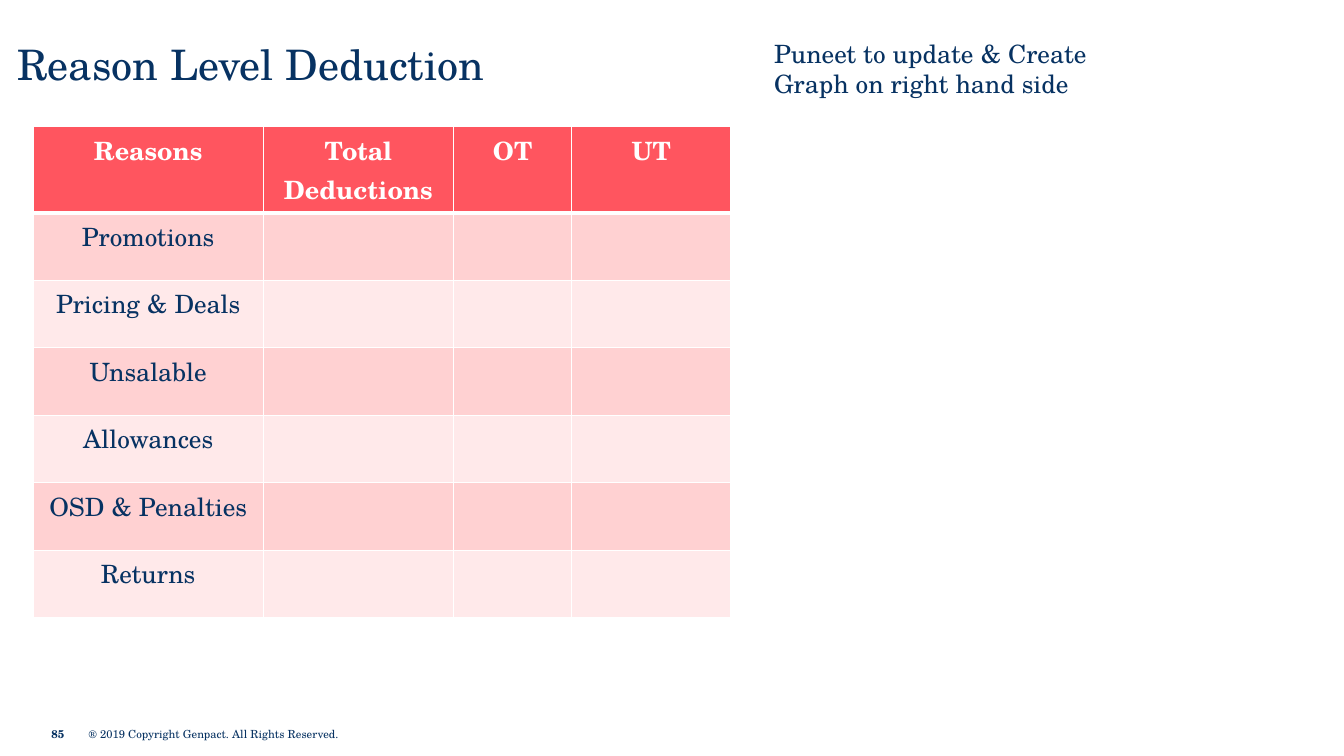
from lxml.etree import SubElement
from pptx import Presentation
from pptx.dml.color import RGBColor as RGB
from pptx.enum.text import MSO_ANCHOR as ANCHOR, PP_ALIGN as ALIGN
from pptx.oxml.ns import qn
from pptx.util import Inches, Pt

FONT = "TeX Gyre Schola"
COLORS = {"navy": "073262", "white": "FFFFFF", "header": "FF555F",
          "band_dark": "FFD1D2", "band_light": "FFE9EA"}
HEADERS = ["Reasons", "Total Deductions", "OT", "UT"]
REASONS = ["Promotions", "Pricing & Deals", "Unsalable",
           "Allowances", "OSD & Penalties", "Returns"]
COL_WIDTHS = [2.28, 1.89, 1.17, 1.58]
HEADER_HEIGHT, ROW_HEIGHT = 0.86, 0.67


def color(name):
    return RGB.from_string(COLORS[name])


def write(tf, text, size=18, fill="navy", bold=False, align=ALIGN.LEFT):
    p = tf.paragraphs[0]
    p.alignment = align
    r = p.add_run()
    r.text = text
    r.font.name, r.font.size, r.font.bold = FONT, Pt(size), bold
    r.font.color.rgb = color(fill)


def add_text(slide, text, left, top, width, height,
             insets=(0.1, 0.05), anchor=ANCHOR.TOP, **fmt):
    s = slide.shapes.add_textbox(*map(Inches, (left, top, width, height)))
    tf = s.text_frame
    tf.word_wrap = True
    tf.vertical_anchor = anchor
    tf.margin_left = tf.margin_right = Inches(insets[0])
    tf.margin_top = tf.margin_bottom = Inches(insets[1])
    write(tf, text, **fmt)


def set_borders(cell, top, bottom):
    tcPr = cell._tc.get_or_add_tcPr()
    widths = {"a:lnL": 1, "a:lnR": 1, "a:lnT": top, "a:lnB": bottom}
    for i, (tag, width) in enumerate(widths.items()):
        ln = SubElement(tcPr, qn(tag), w=str(Pt(width)))
        fill = SubElement(ln, qn("a:solidFill"))
        SubElement(fill, qn("a:srgbClr"), val=COLORS["white"])
        tcPr.insert(i, ln)  # borders precede the cell fill


def add_reason_table(slide, left, top):
    height = HEADER_HEIGHT + ROW_HEIGHT * len(REASONS)
    table = slide.shapes.add_table(
        len(REASONS) + 1, len(HEADERS), Inches(left), Inches(top),
        Inches(sum(COL_WIDTHS)), Inches(height)).table
    for col, width in zip(table.columns, COL_WIDTHS):
        col.width = Inches(width)

    rows = [HEADERS] + [[reason, "", "", ""] for reason in REASONS]
    for i, texts in enumerate(rows):
        is_header = i == 0
        table.rows[i].height = Inches(HEADER_HEIGHT if is_header else ROW_HEIGHT)
        band = "header" if is_header else "band_dark" if i % 2 else "band_light"
        for j, text in enumerate(texts):
            cell = table.cell(i, j)
            cell.fill.solid()
            cell.fill.fore_color.rgb = color(band)
            # The heavy rule under the header is shared with the first row
            set_borders(cell, top=3 if i == 1 else 1, bottom=3 if is_header else 1)
            if text:
                write(cell.text_frame, text, fill="white" if is_header else "navy",
                      bold=is_header, align=ALIGN.CENTER)


def main():
    prs = Presentation()
    prs.slide_width, prs.slide_height = Inches(13.33), Inches(7.5)
    slide = prs.slides.add_slide(prs.slide_layouts[6])

    # Footer
    footer = dict(insets=(0, 0), anchor=ANCHOR.MIDDLE, size=8)
    add_text(slide, "85", 0.51, 7.16, 0.75, 0.24, bold=True, **footer)
    add_text(slide, "® 2019 Copyright Genpact. All Rights Reserved.",
             0.88, 7.16, 2.58, 0.24, **footer)

    # Title, table and note
    add_text(slide, "Reason Level Deduction", 0.17, 0.33, 12.33, 0.58,
             insets=(0, 0.05), size=30)
    add_reason_table(slide, 0.33, 1.25)
    add_text(slide, "Puneet to update & Create Graph on right hand side",
             7.58, 0.33, 4, 0.71)

    prs.save("out.pptx")


if __name__ == "__main__":
    main()
